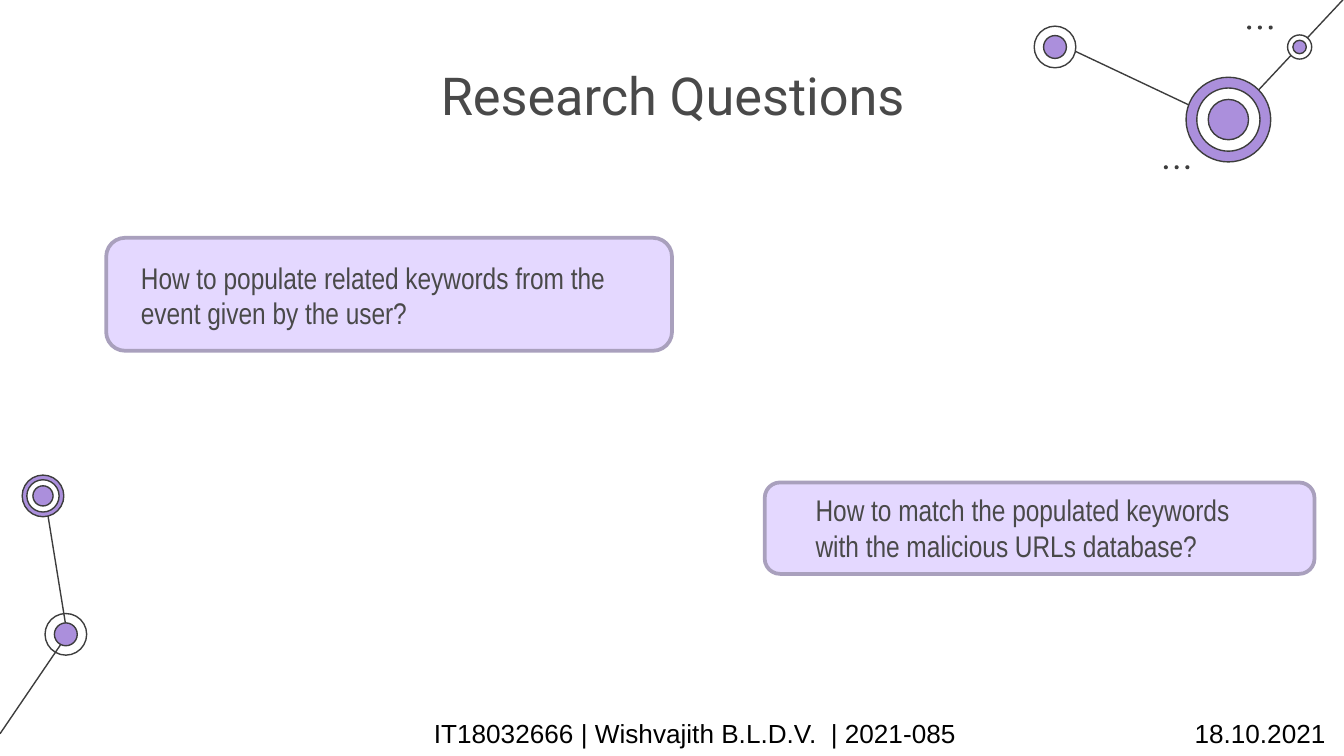
from pptx import Presentation
from pptx.dml.color import RGBColor
from pptx.enum.shapes import MSO_CONNECTOR as CONN, MSO_SHAPE as SHAPE
from pptx.enum.text import PP_ALIGN as ALIGN
from pptx.oxml.ns import qn
from pptx.util import Inches, Pt

WHITE = RGBColor(0xFF, 0xFF, 0xFF)
BLACK = RGBColor(0x00, 0x00, 0x00)
INK = RGBColor(0x3D, 0x3D, 0x3D)
TEXT = RGBColor(0x49, 0x49, 0x49)
PURPLE = RGBColor(0xAB, 0x8F, 0xDC)
LILAC = RGBColor(0xE4, 0xD8, 0xFF)
BORDER = RGBColor(0xA9, 0xA0, 0xBD)

TITLE = {"name": "Roboto", "size": Pt(28)}
QUESTION = {"name": "Arial Narrow", "size": Pt(16)}
FOOTER = {"name": "Arial", "size": Pt(14)}


def add_shape(s, kind, x, y, w, h, fill, line=None, width=0.75):
    sp = s.shapes.add_shape(kind, Inches(x), Inches(y), Inches(w), Inches(h))
    sp.shadow.inherit = False
    if fill is None:
        sp.fill.background()
    else:
        sp.fill.solid()
        sp.fill.fore_color.rgb = fill
    if line is None:
        sp.line.fill.background()
    else:
        sp.line.color.rgb = line
        sp.line.width = Pt(width)


def add_text(s, x, y, w, h, text, font, color, align=ALIGN.LEFT, inset=0.05, tab=None):
    tf = s.shapes.add_textbox(Inches(x), Inches(y), Inches(w), Inches(h)).text_frame
    tf.word_wrap = True
    tf.margin_top = tf.margin_bottom = Inches(inset)
    p = tf.paragraphs[0]
    p.alignment = align
    if tab is not None:
        p_pr = p._p.get_or_add_pPr()
        tabs = p_pr.makeelement(qn("a:tabLst"), {})
        tabs.append(tabs.makeelement(qn("a:tab"), {"pos": str(Inches(tab)), "algn": "l"}))
        p_pr.append(tabs)
    r = p.add_run()
    r.text = text
    for key, value in font.items():
        setattr(r.font, key, value)
    r.font.color.rgb = color


def add_link(s, x1, y1, x2, y2):
    c = s.shapes.add_connector(CONN.STRAIGHT, Inches(x1), Inches(y1), Inches(x2), Inches(y2))
    c.line.color.rgb = INK
    c.line.width = Pt(0.75)
    sp_pr = c._element.spPr
    sp_pr.append(sp_pr.makeelement(qn("a:effectLst"), {}))


def add_node(s, cx, cy, rings):
    """Concentric circles, given as (diameter, fill) from the outside in."""
    for d, fill in rings:
        add_shape(s, SHAPE.OVAL, cx - d / 2, cy - d / 2, d, d, fill, INK)


def add_dots(s, x, y, size=0.03, pitch=0.08):
    for i in range(3):
        add_shape(s, SHAPE.OVAL, x + i * pitch, y, size, size, INK)


def left_network(s, x, y):
    add_link(s, x + 0.5, y + 1.19, x + 0.33, y + 0.14)
    add_link(s, x, y + 1.93, x + 0.49, y + 1.21)
    add_node(s, x + 0.49, y + 1.19, [(0.31, None), (0.17, PURPLE)])
    add_node(s, x + 0.32, y + 0.16, [(0.31, PURPLE), (0.24, WHITE), (0.15, PURPLE)])


def right_network(s, x, y):
    add_link(s, x + 1.45, y + 0.92, x + 0.18, y + 0.32)
    add_link(s, x + 2.31, y - 0.01, x + 1.45, y + 0.91)
    add_node(s, x + 1.45, y + 0.89, [(0.63, PURPLE), (0.47, WHITE), (0.3, PURPLE)])
    add_node(s, x + 0.16, y + 0.35, [(0.31, WHITE), (0.17, PURPLE)])
    add_node(s, x + 1.98, y + 0.35, [(0.18, WHITE), (0.1, PURPLE)])
    add_dots(s, x + 1.59, y + 0.19)
    add_dots(s, x + 0.97, y + 1.23)


def question_card(s, x, y, w, h, text, dx, dy, text_w):
    add_shape(s, SHAPE.ROUNDED_RECTANGLE, x, y, w, h, LILAC, BORDER, 2)
    add_text(s, x + dx, y + dy, text_w, 0.64, text, QUESTION, TEXT)


def footer(s, x, y, w, h):
    add_text(s, x, y, w, h, "IT18032666 | Wishvajith B.L.D.V.  | 2021-085\t18.10.2021",
             FOOTER, BLACK, tab=5.66)


def main():
    prs = Presentation()
    prs.slide_width = Inches(10)
    prs.slide_height = prs.slide_width * 9 // 16
    s = prs.slides.add_slide(prs.slide_layouts[6])

    # Corner decorations
    left_network(s, 0, 3.53)
    right_network(s, 7.69, 0)

    # Title and questions
    add_text(s, 2.77, 0.37, 4.47, 0.63, "Research Questions", TITLE, TEXT, ALIGN.CENTER, 0.1)
    question_card(s, 0.79, 1.77, 4.21, 0.84,
                  "How to populate related keywords from the event given by the user?",
                  0.16, 0.11, 4.05)
    question_card(s, 5.69, 3.59, 4.09, 0.68,
                  "How to match the populated keywords with the malicious URLs database?",
                  0.28, 0.02, 3.52)

    footer(s, 3.13, 5.29, 6.87, 0.32)
    prs.save("out.pptx")


if __name__ == "__main__":
    main()
